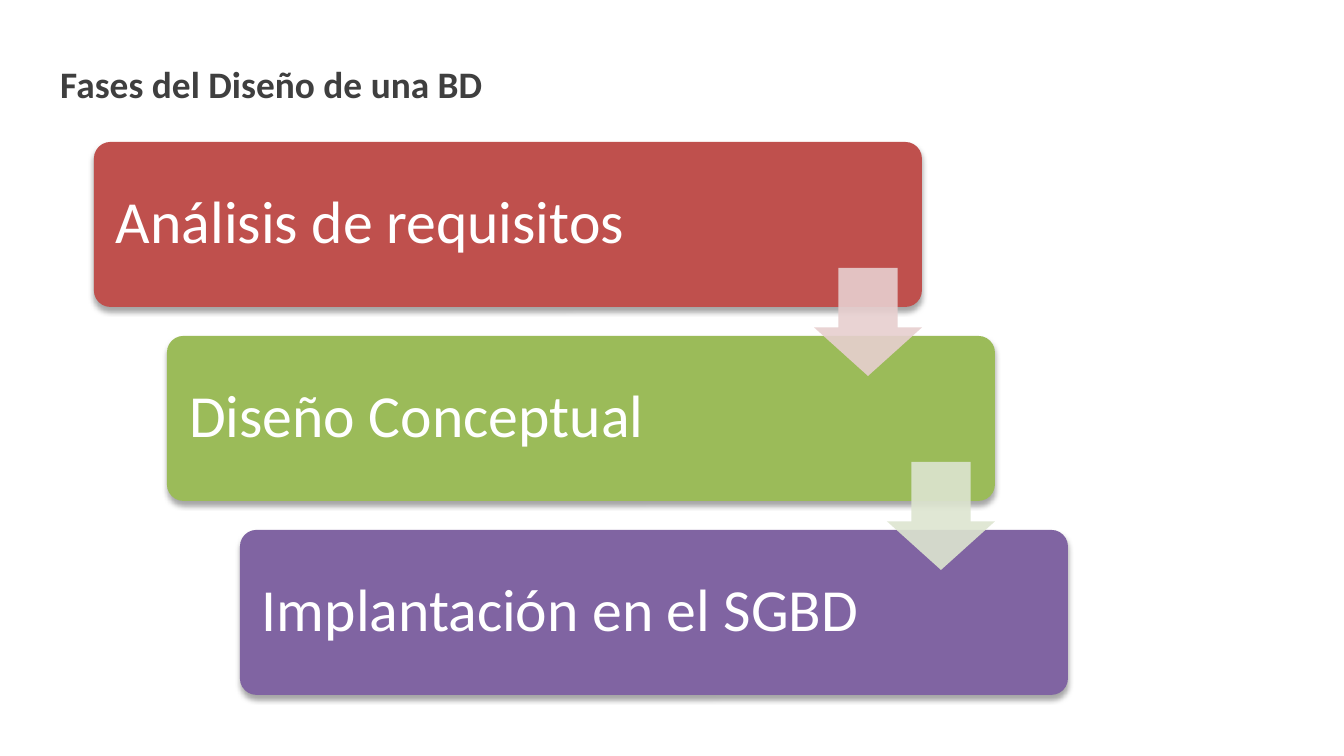
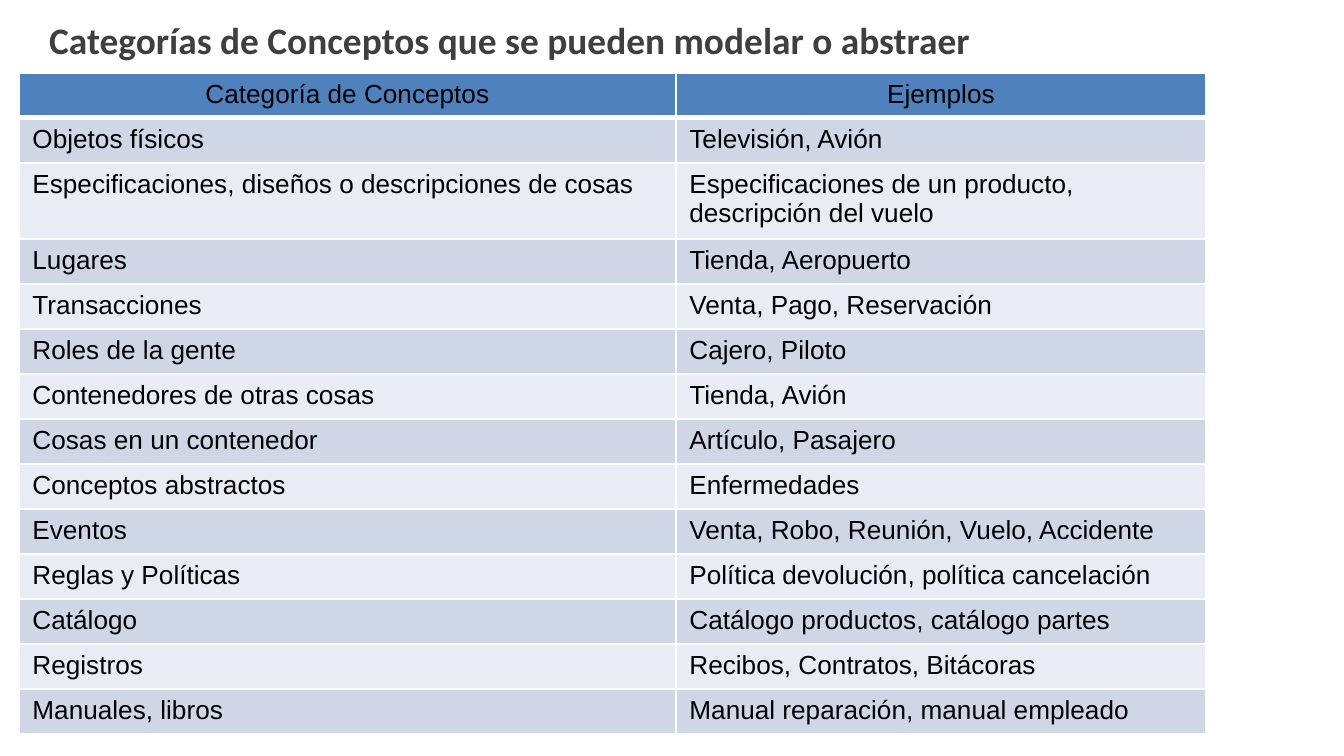
from lxml import etree
from pptx import Presentation
from pptx.dml.color import RGBColor
from pptx.enum.shapes import MSO_SHAPE
from pptx.enum.text import MSO_ANCHOR, MSO_AUTO_SIZE, PP_ALIGN
from pptx.oxml.ns import qn
from pptx.util import Pt

SCALE = 914400 / 134.4
ROUND, ARROW = MSO_SHAPE.ROUNDED_RECTANGLE, MSO_SHAPE.DOWN_ARROW
MIDDLE, GROW = MSO_ANCHOR.MIDDLE, MSO_AUTO_SIZE.SHAPE_TO_FIT_TEXT
LEFT, CENTER = PP_ALIGN.LEFT, PP_ALIGN.CENTER

WHITE = RGBColor(0xFF, 0xFF, 0xFF)
BLACK = RGBColor(0x00, 0x00, 0x00)
GRAY = RGBColor(0x3F, 0x3F, 0x3F)
RED = RGBColor(0xBF, 0x50, 0x4D)
GREEN = RGBColor(0x9B, 0xBB, 0x59)
PURPLE = RGBColor(0x80, 0x64, 0xA2)
PINK = RGBColor(0xE7, 0xCF, 0xCF)
MINT = RGBColor(0xDD, 0xE5, 0xD0)
BLUE = RGBColor(0x4F, 0x81, 0xBD)
BANDS = (RGBColor(0xE8, 0xEC, 0xF4), RGBColor(0xCF, 0xD7, 0xE7))

STEPS = [
    ("Análisis de requisitos", RED, 649),
    ("Diseño Conceptual", GREEN, 637),
    ("Implantación en el SGBD", PURPLE, 637),
]
ROWS = [
    ("Categoría de Conceptos", "Ejemplos"),
    ("Objetos físicos", "Televisión, Avión"),
    ("Especificaciones, diseños o descripciones de cosas",
     "Especificaciones de un producto, descripción del vuelo"),
    ("Lugares", "Tienda, Aeropuerto"),
    ("Transacciones", "Venta, Pago, Reservación"),
    ("Roles de la gente", "Cajero, Piloto"),
    ("Contenedores de otras cosas", "Tienda, Avión"),
    ("Cosas en un contenedor", "Artículo, Pasajero"),
    ("Conceptos abstractos", "Enfermedades"),
    ("Eventos", "Venta, Robo, Reunión, Vuelo, Accidente"),
    ("Reglas y Políticas", "Política devolución, política cancelación"),
    ("Catálogo", "Catálogo productos, catálogo partes"),
    ("Registros", "Recibos, Contratos, Bitácoras"),
    ("Manuales, libros", "Manual reparación, manual empleado"),
]


def px(*nums):
    """Turn pixel lengths into a list of EMU lengths."""
    return [round(num * SCALE) for num in nums]


def node(parent, tag, **attrs):
    """Append a DrawingML element and return it."""
    return etree.SubElement(parent, qn(tag), attrs)


def style(para, face, size, color, bold=False):
    """Set the font of a whole paragraph."""
    font = para.font
    font.name, font.size, font.bold = face, Pt(size), bold
    font.color.rgb = color


def label(shapes, box, text, size, color, bold=False):
    """Add a wrapping text box with one paragraph."""
    frame = shapes.add_textbox(*px(*box)).text_frame
    frame.word_wrap = True
    para = frame.paragraphs[0]
    para.text = text
    style(para, "Calibri", size, color, bold)
    return frame


def title(slide, box, text):
    """Add the slide title with a hanging indent."""
    frame = label(slide.shapes, box, text, 20, GRAY, True)
    frame.auto_size = GROW
    indent, = px(50)
    props = frame.paragraphs[0]._p.get_or_add_pPr()
    props.set("marL", str(indent))
    props.set("indent", str(-indent))


def block(shapes, kind, box, color, adjust):
    """Add a plain filled shape without outline."""
    shape = shapes.add_shape(kind, *px(*box))
    shape.shadow.inherit = False
    shape.fill.solid()
    shape.fill.fore_color.rgb = color
    shape.line.fill.background()
    for i, value in enumerate(adjust):
        shape.adjustments[i] = value
    return shape._element.spPr


def card(shapes, box, text, color, wide):
    """Add one step: a shadowed card and its text."""
    left, top, width, height = box
    props = block(shapes, ROUND, box, color, [0.1])
    shade = node(props.find(qn("a:effectLst")), "a:outerShdw", blurRad="40000",
                 dist="23000", dir="5400000", rotWithShape="0")
    tint = node(shade, "a:srgbClr", val=str(BLACK))
    node(tint, "a:alpha", val="35000")
    frame = label(shapes, (left + 5, top + 5, wide, height - 10), text, 32, WHITE)
    frame.vertical_anchor = MIDDLE
    inset, = px(17)
    frame.margin_left = frame.margin_right = inset
    frame.margin_top = frame.margin_bottom = inset
    frame.paragraphs[0].line_spacing = 0.9


def stairs(slide, box):
    """Place the steps diagonally in the box, joined by arrows."""
    left, top, width, height = box
    wide, high, side = 828, 165, 108
    gaps = len(STEPS) - 1
    across, down = (width - wide) / gaps, (height - high) / gaps
    shapes = slide.shapes.add_group_shape().shapes
    for i, (text, color, span) in enumerate(STEPS):
        card(shapes, (left + i * across, top + i * down, wide, high), text, color, span)
    for i, color in enumerate((PINK, MINT)):
        spot = (left + i * across + wide - side, top + i * down + 126, side, side)
        props = block(shapes, ARROW, spot, color, [0.55, 0.45])
        node(props.find(qn("a:solidFill"))[0], "a:alpha", val="90000")


def edges(cell, head, first):
    """Draw the white cell borders, thicker under the header."""
    props = cell._tc.get_or_add_tcPr()
    widths = {"L": 1, "R": 1, "T": 3 if first else 1, "B": 3 if head else 1}
    for edge, width in widths.items():
        line = node(props, "a:ln" + edge, w=str(Pt(width)))
        node(node(line, "a:solidFill"), "a:srgbClr", val=str(WHITE))


def grid(slide, box):
    """Fill the box with the table of concepts."""
    width = box[2]
    table = slide.shapes.add_table(len(ROWS), 2, *px(*box)).table
    for col, span in zip(table.columns, px(657, width - 657)):
        col.width = span
    for i, row in enumerate(ROWS):
        table.rows[i].height, = px({0: 44, 2: 75}.get(i, 45))
        for j, text in enumerate(row):
            cell = table.cell(i, j)
            edges(cell, i == 0, i == 1)
            cell.fill.solid()
            cell.fill.fore_color.rgb = BANDS[i % 2] if i else BLUE
            para = cell.text_frame.paragraphs[0]
            para.text = text
            para.alignment = LEFT if i else CENTER
            style(para, "Arial", 14, BLACK)


def main():
    """Build both slides and save the deck."""
    deck = Presentation()
    deck.slide_width, deck.slide_height = px(1344, 756)
    blank = deck.slide_layouts[6]
    phases = deck.slides.add_slide(blank)
    title(phases, (47, 55, 453, 59), "Fases del Diseño de una BD")
    stairs(phases, (94, 142, 974, 553))
    ideas = deck.slides.add_slide(blank)
    title(ideas, (36, 11, 957, 59),
          "Categorías de Conceptos que se pueden modelar o abstraer")
    grid(ideas, (19, 73, 1187, 659))
    deck.save("out.pptx")


if __name__ == "__main__":
    main()
